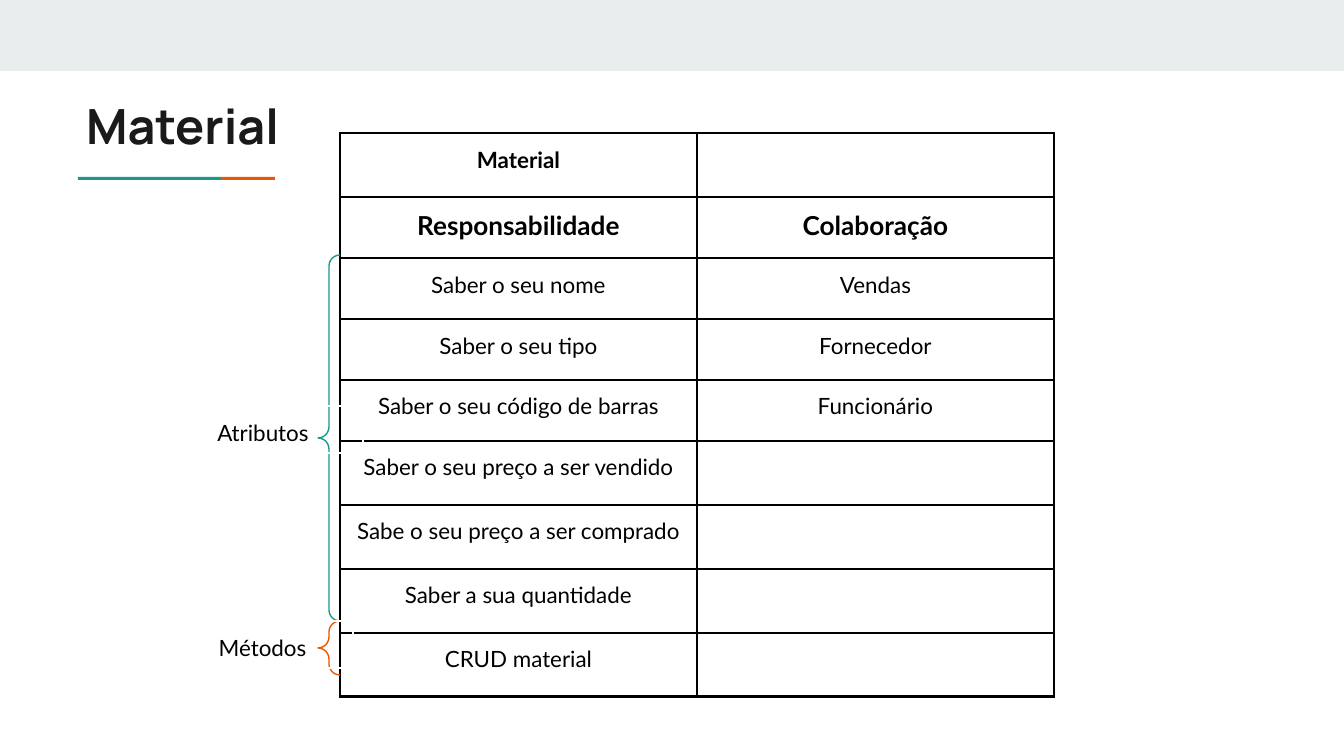
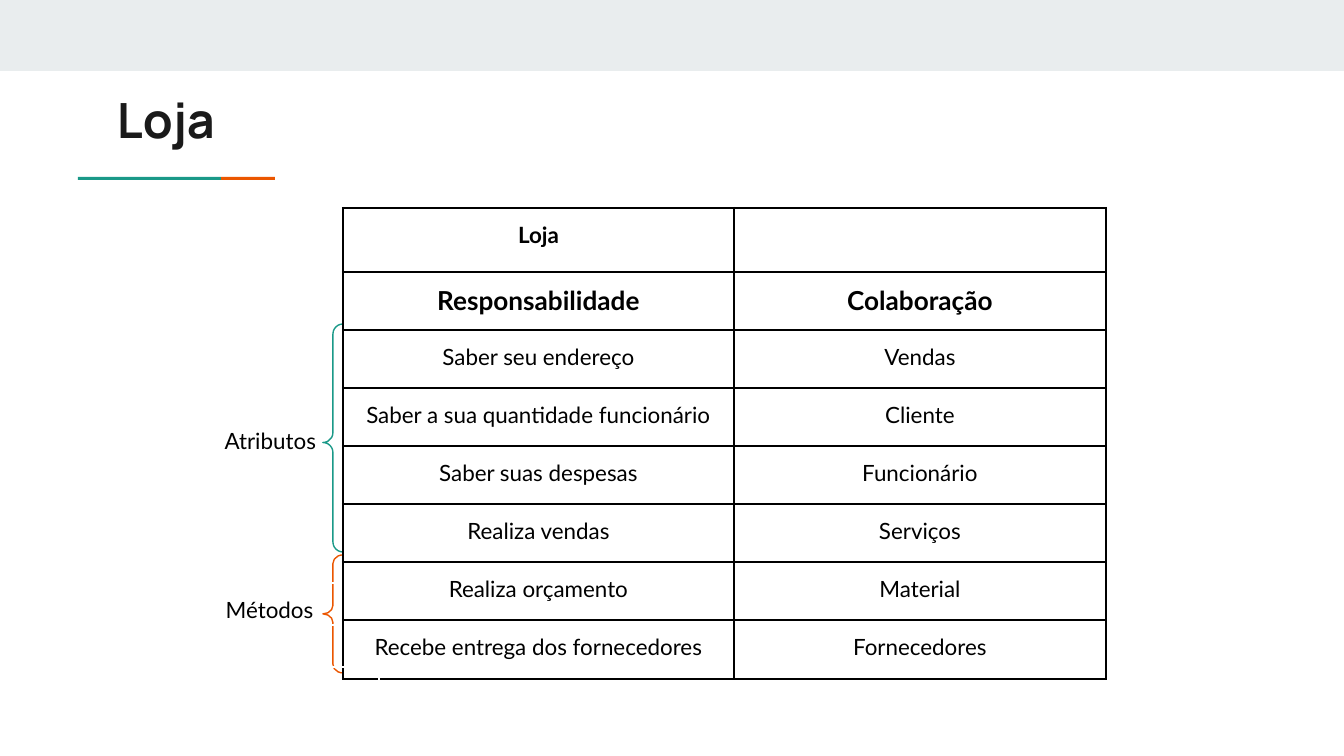
import pptx
import pptx.util
import pptx.dml.color
import pptx.enum.shapes
import pptx.enum.text
import pptx.oxml.ns
from lxml import etree

PX = 914400 / 134.4
TEAL, ORANGE, BAND = "1A9988", "EB5600", "E9EDEE"
BLACK, WHITE, INK = "000000", "FFFFFF", "1A1A1A"
BODY, HEADING = "Lato", "Manrope"
SHAPE = pptx.enum.shapes.MSO_SHAPE
ALIGN = pptx.enum.text.PP_ALIGN
INSET = 13

MATERIAL = [
    ("Material", ""),
    ("Responsabilidade", "Colaboração"),
    ("Saber o seu nome", "Vendas"),
    ("Saber o seu tipo", "Fornecedor"),
    ("Saber o seu código de barras", "Funcionário"),
    ("Saber o seu preço a ser vendido", ""),
    ("Sabe o seu preço a ser comprado", ""),
    ("Saber a sua quantidade", ""),
    ("CRUD material", ""),
]
LOJA = [
    ("Loja", ""),
    ("Responsabilidade", "Colaboração"),
    ("Saber seu endereço", "Vendas"),
    ("Saber a sua quantidade funcionário", "Cliente"),
    ("Saber suas despesas", "Funcionário"),
    ("Realiza vendas", "Serviços"),
    ("Realiza orçamento", "Material"),
    ("Recebe entrega dos fornecedores", "Fornecedores"),
]


def px(n):
    return pptx.util.Emu(round(n * PX))


def rgb(color):
    return pptx.dml.color.RGBColor.from_string(color)


def add_shape(slide, kind, box, fill=None, line=None):
    sp = slide.shapes.add_shape(kind, *map(px, box))
    sp.shadow.inherit = False
    if fill:
        sp.fill.solid()
        sp.fill.fore_color.rgb = rgb(fill)
    else:
        sp.fill.background()
    if line:
        sp.line.color.rgb = rgb(line)
        sp.line.width = pptx.util.Pt(0.75)
    else:
        sp.line.fill.background()
    return sp


def add_run(p, text, size, color=BLACK, font=BODY, bold=False):
    r = p.add_run()
    r.text = text
    r.font.size = pptx.util.Pt(size)
    r.font.name = font
    r.font.bold = bold
    r.font.color.rgb = rgb(color)


def set_frame(tf, align):
    tf.word_wrap = True
    tf.vertical_anchor = pptx.enum.text.MSO_ANCHOR.TOP
    tf.margin_left = tf.margin_right = tf.margin_top = tf.margin_bottom = px(INSET)
    p = tf.paragraphs[0]
    p.alignment = align
    return p


def add_text(slide, box, align, text, size, **style):
    sp = slide.shapes.add_textbox(*map(px, box))
    add_run(set_frame(sp.text_frame, align), text, size, **style)


def add_label(slide, box, text):
    sp = add_shape(slide, SHAPE.RECTANGLE, box, line=WHITE)
    add_run(set_frame(sp.text_frame, ALIGN.CENTER), text, 12)


def add_brace(slide, box, color, curve=0.5, tip=0.5):
    sp = add_shape(slide, SHAPE.LEFT_BRACE, box, line=color)
    sp.adjustments[0] = curve
    sp.adjustments[1] = tip


def add_borders(cell):
    tc_pr = cell._tc.get_or_add_tcPr()
    qn = pptx.oxml.ns.qn
    for side in ("lnL", "lnR", "lnT", "lnB"):
        ln = etree.SubElement(tc_pr, qn("a:" + side), w=str(pptx.util.Pt(1.5)))
        fill = etree.SubElement(ln, qn("a:solidFill"))
        etree.SubElement(fill, qn("a:srgbClr"), val=BLACK)


def fill_cell(cell, text, row):
    add_borders(cell)
    cell.fill.background()
    cell.margin_left = cell.margin_right = px(INSET)
    cell.margin_top = cell.margin_bottom = px(INSET)
    p = cell.text_frame.paragraphs[0]
    p.alignment = ALIGN.CENTER
    if text:
        add_run(p, text, 14 if row == 1 else 12, bold=row < 2)
    else:
        etree.SubElement(p._p, pptx.oxml.ns.qn("a:endParaRPr"), sz="1200")


def add_crc_table(slide, left, top, widths, heights, rows):
    frame = slide.shapes.add_table(len(rows), len(widths), px(left), px(top),
                                   px(sum(widths)), px(sum(heights)))
    table = frame.table
    table.first_row = table.horz_banding = False
    for column, width in zip(table.columns, widths):
        column.width = px(width)
    for i, (height, texts) in enumerate(zip(heights, rows)):
        table.rows[i].height = px(height)
        for j, text in enumerate(texts):
            fill_cell(table.cell(i, j), text, i)


def add_slide(prs, title, title_box):
    slide = prs.slides.add_slide(prs.slide_layouts[6])
    add_shape(slide, SHAPE.RECTANGLE, (0, 0, 1344, 71), BAND)
    add_shape(slide, SHAPE.RECTANGLE, (221, 177, 54, 3), ORANGE)
    add_shape(slide, SHAPE.RECTANGLE, (78, 177, 143, 3), TEAL)
    add_text(slide, title_box, ALIGN.LEFT, title, 26,
             color=INK, font=HEADING, bold=True)
    return slide


def build_material(prs):
    slide = add_slide(prs, "Material", (73, 83, 235, 87))
    add_crc_table(slide, 340, 133, [357, 357], [64] + [61] * 4 + [64] * 4, MATERIAL)
    add_brace(slide, (318, 255, 22, 366), TEAL)
    add_brace(slide, (318, 621, 22, 54), ORANGE)
    add_label(slide, (163, 406, 200, 47), "Atributos")
    add_label(slide, (172, 621, 181, 47), "Métodos")


def build_loja(prs):
    slide = add_slide(prs, "Loja", (104, 77, 129, 98))
    add_brace(slide, (323, 324, 20, 228), TEAL, tip=0.52)
    add_text(slide, (112, 414, 217, 60), ALIGN.RIGHT, "Atributos", 12)
    add_brace(slide, (323, 555, 20, 118), ORANGE, curve=0.43)
    add_label(slide, (179, 583, 181, 42), "Métodos")
    add_crc_table(slide, 343, 208, [391, 372], [64] + [58] * 6 + [59], LOJA)
    add_shape(slide, SHAPE.RECTANGLE, (241, 667, 138, 47), line=WHITE)


def main():
    prs = pptx.Presentation()
    prs.slide_width, prs.slide_height = px(1344), px(756)
    build_material(prs)
    build_loja(prs)
    prs.save("out.pptx")


if __name__ == "__main__":
    main()
